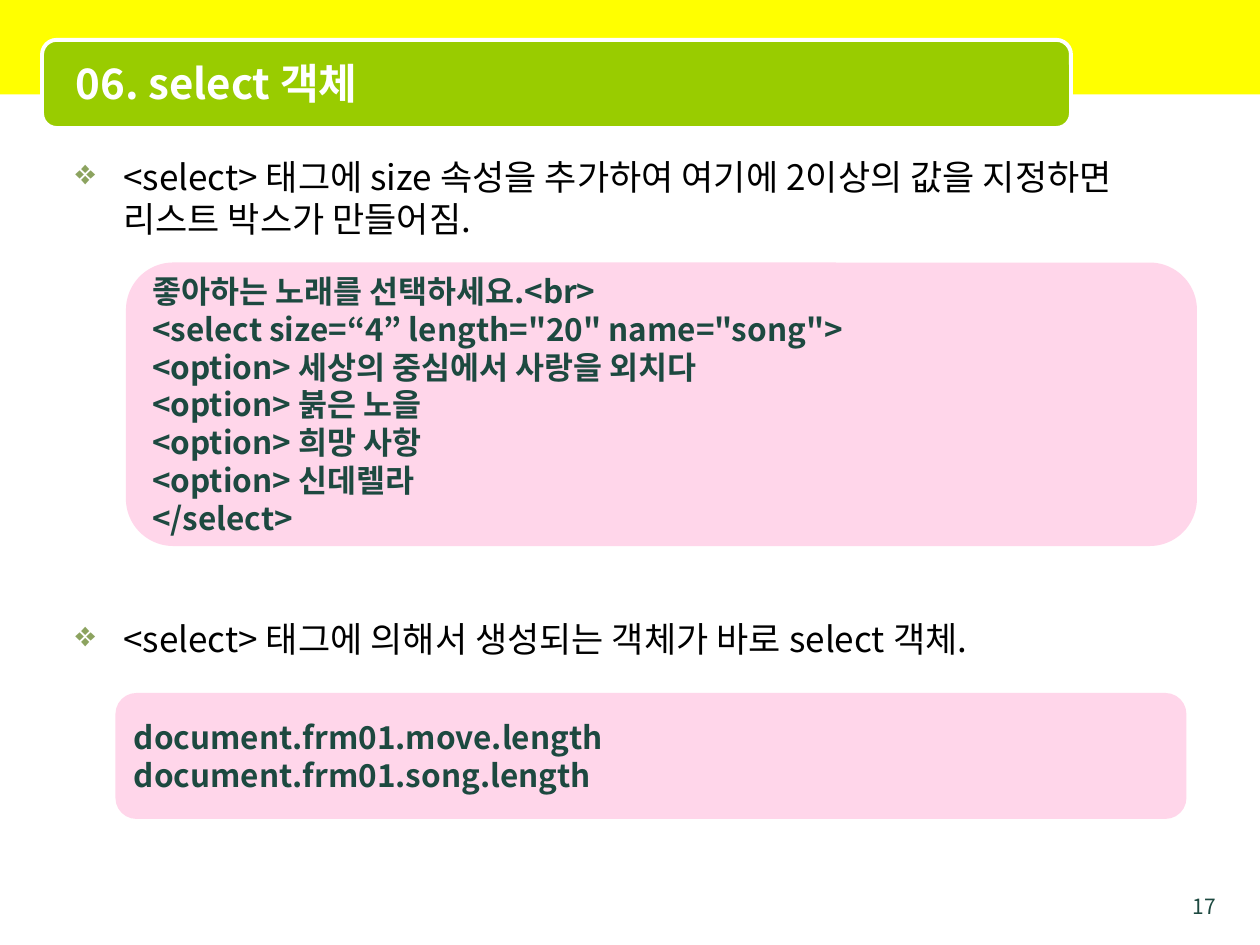
from lxml import etree
from pptx import Presentation
from pptx.dml.color import RGBColor
from pptx.enum.shapes import MSO_SHAPE
from pptx.enum.text import MSO_ANCHOR, PP_ALIGN
from pptx.oxml.ns import qn
from pptx.util import Inches, Pt

RECT, ROUND = MSO_SHAPE.RECTANGLE, MSO_SHAPE.ROUNDED_RECTANGLE
TOP, MIDDLE = MSO_ANCHOR.TOP, MSO_ANCHOR.MIDDLE
LEFT, RIGHT = PP_ALIGN.LEFT, PP_ALIGN.RIGHT

YELLOW = RGBColor(0xFF, 0xFF, 0x00)
GREEN = RGBColor(0x99, 0xCC, 0x00)
PINK = RGBColor(0xFF, 0x99, 0xCC)
DARK_GREEN = RGBColor(0x1D, 0x49, 0x40)
BLACK = RGBColor(0x00, 0x00, 0x00)
WHITE = RGBColor(0xFF, 0xFF, 0xFF)
BULLET_GREEN = RGBColor(0x8C, 0xA3, 0x5F)

FONT = "Noto Sans CJK KR"
WIDTH, HEIGHT = Inches(10), Inches(7.5)
COLUMN, ROW = WIDTH // 120, HEIGHT // 90
LINE_RATIO = 1.2

SELECT_CODE = [
    "좋아하는 노래를 선택하세요.<br>",
    '<select size=“4” length="20" name="song">',
    "<option> 세상의 중심에서 사랑을 외치다",
    "<option> 붉은 노을",
    "<option> 희망 사항",
    "<option> 신데렐라",
    "</select>",
]
LENGTH_CODE = ["document.frm01.move.length", "document.frm01.song.length"]


def grid(left, top, width, height):
    """Turn columns and rows into a box of lengths."""
    return (int(left * COLUMN), int(top * ROW),
            int(width * COLUMN), int(height * ROW))


def write(frame, lines, size, color, bold=False, align=LEFT, anchor=MIDDLE):
    frame.word_wrap = True
    frame.vertical_anchor = anchor
    for index, line in enumerate(lines):
        paragraph = frame.add_paragraph() if index else frame.paragraphs[0]
        paragraph.alignment = align
        paragraph.line_spacing = Pt(round(size * LINE_RATIO, 1))
        run = paragraph.add_run()
        run.text = line
        font = run.font
        font.size, font.bold, font.name = Pt(size), bold, FONT
        font.color.rgb = color
        east_asian = etree.SubElement(run._r.get_or_add_rPr(), qn("a:ea"))
        east_asian.set("typeface", FONT)


def add_panel(slide, kind, box, color, alpha=None):
    panel = slide.shapes.add_shape(kind, *box)
    panel.shadow.inherit = False
    panel.fill.solid()
    panel.fill.fore_color.rgb = color
    panel.line.fill.background()
    if alpha is not None:
        fill_color = panel._element.spPr.find(qn("a:solidFill"))[0]
        etree.SubElement(fill_color, qn("a:alpha")).set("val", str(alpha * 1000))
    return panel


def add_header(slide, box, text):
    left, top, width, height = box
    add_panel(slide, RECT, box, YELLOW)
    plate = add_panel(slide, ROUND, (left + 4 * COLUMN, top + int(3.8 * ROW),
                                     98 * COLUMN, int(8.4 * ROW)), GREEN)
    plate.line.color.rgb = WHITE
    plate.line.width = Pt(2.25)

    title = slide.shapes.title
    title.left, title.top = left + 6 * COLUMN, top + int(4.2 * ROW)
    title.width, title.height = 95 * COLUMN, int(7.4 * ROW)
    write(title.text_frame, [text], 24, WHITE, bold=True)
    slide.shapes._spTree.append(title._element)  # in front of the plate


def add_point(slide, box, text):
    frame = slide.shapes.add_textbox(*box).text_frame
    write(frame, [text], 20, BLACK, anchor=TOP)
    paragraph = frame.paragraphs[0]
    paragraph.space_before = Pt(8)
    properties = paragraph._p.get_or_add_pPr()
    indent = Inches(0.38)
    properties.set("marL", str(indent))
    properties.set("indent", str(-indent))
    bullet_color = etree.SubElement(properties, qn("a:buClr"))
    etree.SubElement(bullet_color, qn("a:srgbClr")).set("val", str(BULLET_GREEN))
    etree.SubElement(properties, qn("a:buChar")).set("char", "❖")


def add_code(slide, box, lines):
    panel = add_panel(slide, ROUND, box, PINK, alpha=40)
    write(panel.text_frame, lines, 18, DARK_GREEN, bold=True)


def add_page_number(slide, box, number):
    frame = slide.shapes.add_textbox(*box).text_frame
    write(frame, [number], 12, DARK_GREEN, align=RIGHT, anchor=TOP)


def main():
    deck = Presentation()
    deck.slide_width, deck.slide_height = WIDTH, HEIGHT
    slide = deck.slides.add_slide(deck.slide_layouts[5])

    add_header(slide, grid(0, 0, 120, 9), "06. select 객체")
    add_point(slide, grid(6, 14.2, 108, 10),
              "<select> 태그에 size 속성을 추가하여 여기에 2이상의 값을 지정하면 "
              "리스트 박스가 만들어짐.")
    add_code(slide, grid(12, 25, 102, 27), SELECT_CODE)
    add_point(slide, grid(6, 58.2, 108, 6),
              "<select> 태그에 의해서 생성되는 객체가 바로 select 객체.")
    add_code(slide, grid(11, 66, 102, 12), LENGTH_CODE)
    add_page_number(slide, grid(111, 84.5, 6, 2.5), "17")

    deck.save("out.pptx")


if __name__ == "__main__":
    main()
